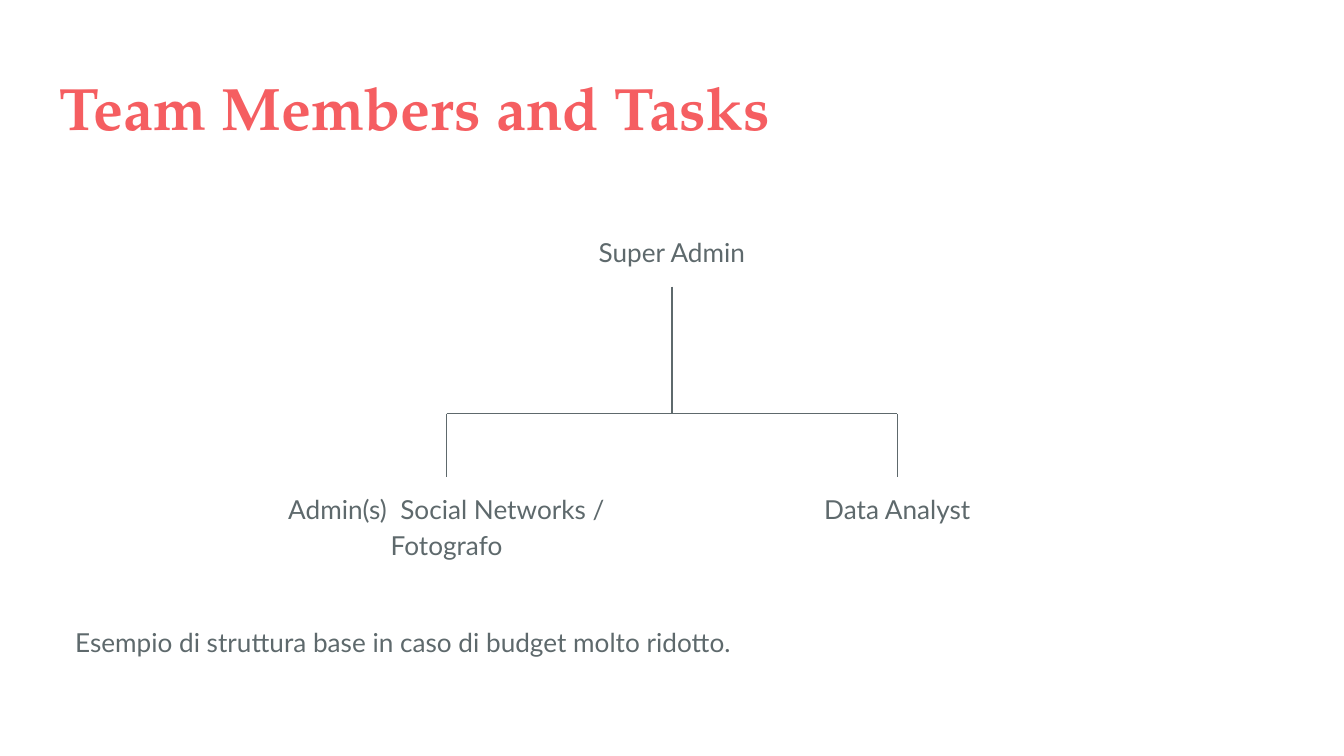
from pptx import Presentation
from pptx.dml.color import RGBColor
from pptx.enum import shapes, text
from pptx.oxml import ns
from pptx.util import Cm, Pt
from lxml import etree

CORAL = RGBColor(0xF5, 0x5E, 0x61)
SLATE = RGBColor(0x5E, 0x69, 0x6C)
INSET = Cm(0.25)
NODE_W = Cm(6.68)
NODE_H = Cm(1.12)
TALL_NODE_H = Cm(1.8)


def add_text(s, box, words, size=14, font="Lato", color=SLATE, bold=False):
    """Add a one-paragraph text box and return it."""
    sp = s.shapes.add_textbox(*box)
    tf = sp.text_frame
    tf.word_wrap = True
    tf.margin_left = tf.margin_right = tf.margin_top = tf.margin_bottom = INSET
    p = tf.paragraphs[0]
    p.text = words
    p.font.size, p.font.name = Pt(size), font
    p.font.bold, p.font.color.rgb = bold, color
    return sp


def add_node(s, box, words):
    """Add a centred label of the organisation chart."""
    sp = add_text(s, box, words)
    tf = sp.text_frame
    tf.vertical_anchor = text.MSO_ANCHOR.MIDDLE
    tf.auto_size = text.MSO_AUTO_SIZE.SHAPE_TO_FIT_TEXT
    p = tf.paragraphs[0]
    p.alignment = text.PP_ALIGN.CENTER
    p.line_spacing, p.space_after = 1.15, Pt(16)
    return sp


def add_line(s, x1, y1, x2, y2):
    """Add a thin straight connector without a shadow."""
    line = s.shapes.add_connector(shapes.MSO_CONNECTOR.STRAIGHT, x1, y1, x2, y2)
    line.line.color.rgb = SLATE
    line.line.width = Pt(0.75)
    etree.SubElement(line._element.spPr, ns.qn("a:effectLst"))
    return line


def add_title(s, box, words):
    """Add the slide title."""
    add_text(s, box, words, 32, "TeX Gyre Pagella", CORAL, True)


def add_org_chart(s, box, head, members):
    """Add a head above a bar that branches to evenly spread members."""
    left, top, width, height = box
    middle = left + width // 2
    members_top = top + height - TALL_NODE_H
    bar_y = members_top - Cm(1.2)
    step = (width - NODE_W) // (len(members) - 1)
    centres = [left + NODE_W // 2 + i * step for i in range(len(members))]

    add_node(s, (middle - NODE_W // 2, top, NODE_W, NODE_H), head)
    add_line(s, middle, top + NODE_H + Cm(0.13), middle, bar_y)
    add_line(s, centres[0], bar_y, centres[-1], bar_y)
    for centre, (words, node_h) in zip(centres, members):
        sp = add_node(s, (centre - NODE_W // 2, members_top, NODE_W, node_h), words)
        add_line(s, centre, bar_y, centre, members_top).end_connect(sp, 0)


def add_note(s, box, words):
    """Add the remark below the chart."""
    sp = add_text(s, box, words)
    sp.text_frame.auto_size = text.MSO_AUTO_SIZE.SHAPE_TO_FIT_TEXT


def main():
    """Build and save the team slide."""
    prs = Presentation()
    prs.slide_width, prs.slide_height = Cm(25.4), Cm(14.29)
    s = prs.slides.add_slide(prs.slide_layouts[6])
    add_title(s, (Cm(0.87), Cm(1.09), Cm(23.67), Cm(1.73)), "Team Members and Tasks")
    add_org_chart(
        s,
        (Cm(5.1), Cm(4.17), Cm(15.2), Cm(6.65)),
        "Super Admin",
        [("Admin(s)  Social Networks / Fotografo", TALL_NODE_H), ("Data Analyst", NODE_H)],
    )
    add_note(
        s,
        (Cm(1.17), Cm(11.6), Cm(23.06), NODE_H),
        "Esempio di struttura base in caso di budget molto ridotto.",
    )
    prs.save("out.pptx")


if __name__ == "__main__":
    main()
